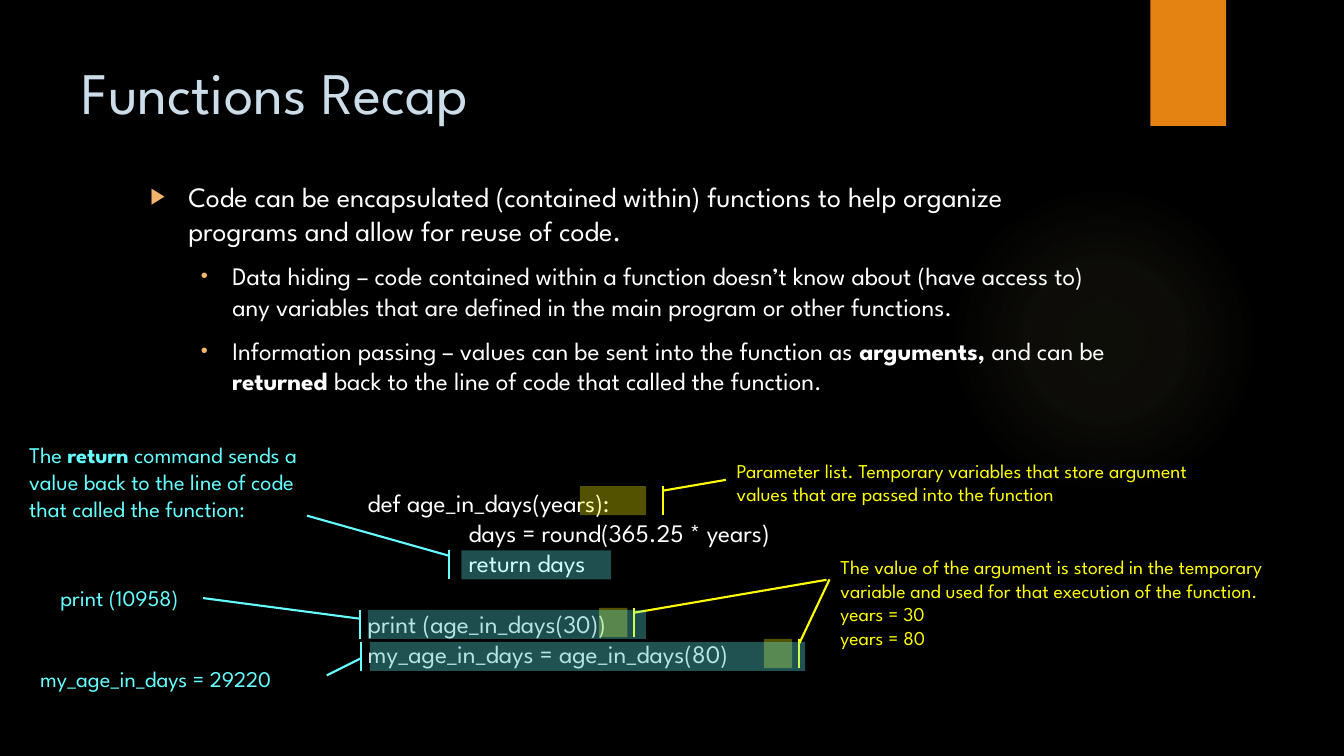
"""Build the Functions Recap slide with annotated code."""
from lxml.etree import SubElement
from pptx import Presentation
from pptx.dml.color import RGBColor
from pptx.enum.shapes import MSO_SHAPE
from pptx.enum.text import MSO_ANCHOR, MSO_AUTO_SIZE, PP_ALIGN
from pptx.oxml import parse_xml
from pptx.oxml.ns import nsdecls, qn
from pptx.util import Pt

FONT = "League Spartan"
COLORS = {
    "black": "000000", "orange": "E48312", "title": "CCDDEA",
    "white": "FFFFFF", "grey": "D9D9D9", "bullet": "F3B56C",
    "yellow": "FFFF00", "cyan": "66FFFF", "glow": "C2BC80",
}

TITLE = ("Functions Recap", (51, 36, 741, 110))
BODY_BOX = (100.3, 124.6, 704, 187.5)
BODY = [
    (0, [("Code can be encapsulated (contained within) functions to help "
          "organize programs and allow for reuse of code.", False)]),
    (1, [("Data hiding – code contained within a function doesn’t know about "
          "(have access to) any variables that are defined in the main "
          "program or other functions.", False)]),
    (1, [("Information passing – values can be sent into the function as ", False),
         ("arguments,", True), (" and can be ", False), ("returned", True),
         (" back to the line of code that called the function.", False)]),
]
LEVELS = [
    {"bullet": "▶", "size": 20, "left": 27, "hang": 27},
    {"bullet": "•", "size": 18, "left": 58.5, "hang": 22.5},
]

CODE_BOX = (255.6, 344.2, 700, 138.2)
CODE_GAP = 21.6
CODE_TAB = 72
CODE = [
    ("def age_in_days(years):", "white", 0),
    ("\tdays = round(365.25 * years)", "white", 0),
    ("\treturn days", "white", 0),
    ("print (age_in_days(30))", "grey", CODE_GAP),
    ("my_age_in_days = age_in_days(80)", "grey", 0),
]

CALLOUT_H = 20.8
CALLOUTS = [
    ("yellow", 32, (414.2, 347.2, 47.3), (0.161, 1.25, -0.212, 2.204)),
    ("yellow", 32, (427.9, 434.3, 20.2), (0.161, 1.25, -0.968, 8.041)),
    ("yellow", 32, (545.6, 456.4, 20.2), (0.161, 1.25, -2.045, 2.322)),
    ("cyan", 31, (329.6, 393.1, 106.7), (0.188, -0.083, -1.19, -1.034)),
    ("cyan", 30, (262.8, 435.6, 198.5), (0.307, -0.028, -0.403, -0.593)),
    ("cyan", 32, (264.2, 458.5, 311), (0.569, -0.021, 1.149, -0.099)),
]

NOTES = [
    ("yellow", 14, (519.1, 324, 370, 41),
     [[("Parameter list. Temporary variables that store argument values that "
        "are passed into the function", False)]]),
    ("yellow", 14, (593.3, 393.1, 316, 92),
     [[("The value of the argument is stored in the temporary variable and "
        "used for that execution of the function.", False)],
      [("years = 30", False)], [("years = 80", False)]]),
    ("cyan", 16, (13.7, 311.8, 221, 85),
     [[("The ", False), ("return", True),
       (" command sends a value back to the line of code that called the "
        "function:", False)]]),
    ("cyan", 16, (36, 414, 115.2, 26.6), [[("print (10958)", False)]]),
    ("cyan", 16, (21.6, 471.6, 214.6, 26.6), [[("my_age_in_days = 29220", False)]]),
]

GLOW_BOX = (677.5, 131.8, 221.8, 221.8)
GLOW_STOPS = [(0, 7), (36, 6), (69, 0)]
RIBBON_BOX = (821.8, 0, 54, 90)


def rgb(name):
    return RGBColor.from_string(COLORS[name])


def apply(obj, values):
    for name, value in values.items():
        setattr(obj, name, value)


def place(sp, box):
    apply(sp, dict(zip(("left", "top", "width", "height"), map(Pt, box))))


def setup(sp):
    tf = sp.text_frame
    apply(tf, {"word_wrap": True, "auto_size": MSO_AUTO_SIZE.NONE,
               "vertical_anchor": MSO_ANCHOR.TOP})
    return tf


def paragraphs(tf, count):
    return [tf.paragraphs[0]] + [tf.add_paragraph() for _ in range(count - 1)]


def write(p, runs, size, color):
    p.alignment = PP_ALIGN.LEFT
    for text, bold in runs:
        r = p.add_run()
        r.text = text
        apply(r.font, {"name": FONT, "size": Pt(size), "bold": bold})
        r.font.color.rgb = rgb(color)


def add_bullet(p, level):
    pPr = p._p.get_or_add_pPr()
    pPr.set("marL", str(Pt(level["left"])))
    pPr.set("indent", str(-Pt(level["hang"])))
    clr = SubElement(pPr, qn("a:buClr"))
    SubElement(clr, qn("a:srgbClr"), val=COLORS["bullet"])
    SubElement(pPr, qn("a:buSzPct"), val="80000")
    SubElement(pPr, qn("a:buFont"), typeface="Arial")
    SubElement(pPr, qn("a:buChar"), char=level["bullet"])


def add_tab(p, position):
    tabs = SubElement(p._p.get_or_add_pPr(), qn("a:tabLst"))
    SubElement(tabs, qn("a:tab"), pos=str(Pt(position)), algn="l")


def add_shape(slide, kind, box, color):
    sp = slide.shapes.add_shape(kind, *map(Pt, box))
    sp.shadow.inherit = False
    sp.fill.solid()
    sp.fill.fore_color.rgb = rgb(color)
    sp.line.fill.background()
    return sp


def set_alpha(sp, percent):
    clr = sp._element.spPr.find(qn("a:solidFill"))[0]
    SubElement(clr, qn("a:alpha"), val=str(percent * 1000))


def add_glow(slide):
    sp = add_shape(slide, MSO_SHAPE.OVAL, GLOW_BOX, "glow")
    stops = "".join(
        f'<a:gs pos="{pos * 1000}"><a:srgbClr val="{COLORS["glow"]}">'
        f'<a:alpha val="{alpha * 1000}"/></a:srgbClr></a:gs>'
        for pos, alpha in GLOW_STOPS)
    grad = parse_xml(
        f'<a:gradFill {nsdecls("a")}><a:gsLst>{stops}</a:gsLst>'
        '<a:path path="circle"><a:fillToRect l="50000" t="50000" '
        'r="50000" b="50000"/></a:path></a:gradFill>')
    spPr = sp._element.spPr
    spPr.replace(spPr.find(qn("a:solidFill")), grad)


def add_text(slide, box):
    return setup(slide.shapes.add_textbox(*map(Pt, box)))


def main():
    prs = Presentation()
    apply(prs, {"slide_width": Pt(960), "slide_height": Pt(540)})
    slide = prs.slides.add_slide(prs.slide_layouts[1])
    slide.background.fill.solid()
    slide.background.fill.fore_color.rgb = rgb("black")
    title, body = slide.placeholders

    text, box = TITLE
    place(title, box)
    write(setup(title).paragraphs[0], [(text, False)], 42, "title")

    place(body, BODY_BOX)
    for i, (p, (depth, runs)) in enumerate(zip(paragraphs(setup(body), len(BODY)), BODY)):
        level = LEVELS[depth]
        add_bullet(p, level)
        apply(p, {"level": depth, "space_before": Pt(10 if i else 0)})
        write(p, runs, level["size"], "white")

    add_glow(slide)
    add_shape(slide, MSO_SHAPE.RECTANGLE, RIBBON_BOX, "orange")
    tree = slide.shapes._spTree
    for sp in (title, body):
        tree.append(sp._element)

    tf = add_text(slide, CODE_BOX)
    for p, (text, color, gap) in zip(paragraphs(tf, len(CODE)), CODE):
        add_tab(p, CODE_TAB)
        p.space_before = Pt(gap)
        write(p, [(text, False)], 18, color)

    for color, alpha, box, adjustments in CALLOUTS:
        sp = add_shape(slide, MSO_SHAPE.LINE_CALLOUT_1_ACCENT_BAR, (*box, CALLOUT_H), color)
        set_alpha(sp, alpha)
        sp.line.color.rgb = rgb(color)
        sp.line.width = Pt(1.5)
        for i, value in enumerate(adjustments):
            sp.adjustments[i] = value

    for color, size, box, lines in NOTES:
        tf = add_text(slide, box)
        for p, runs in zip(paragraphs(tf, len(lines)), lines):
            write(p, runs, size, color)

    prs.save("out.pptx")


if __name__ == "__main__":
    main()
